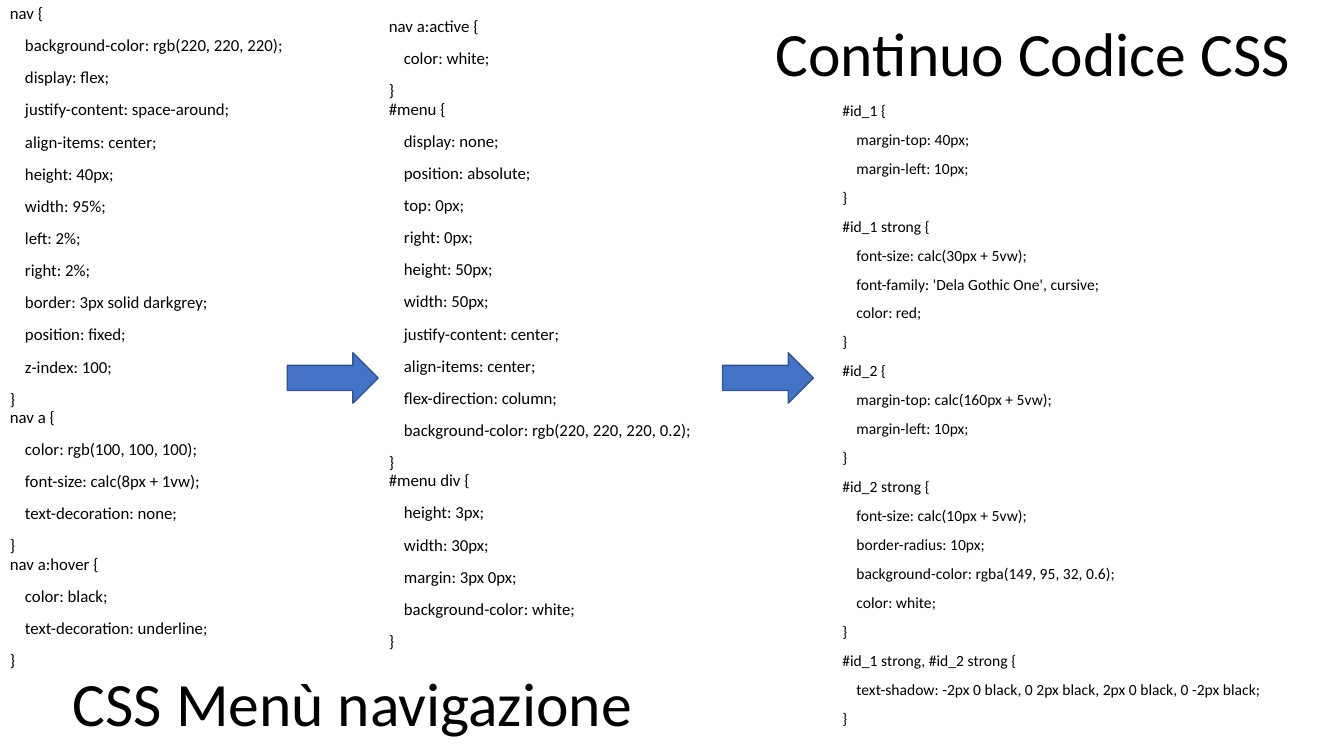
from pptx import Presentation
from pptx.dml.color import RGBColor
from pptx.enum.shapes import MSO_SHAPE
from pptx.enum.text import MSO_ANCHOR, MSO_AUTO_SIZE, PP_ALIGN
from pptx.util import Cm, Pt

RIGHT_ARROW = MSO_SHAPE.RIGHT_ARROW
MIDDLE = MSO_ANCHOR.MIDDLE
NO_AUTOFIT = MSO_AUTO_SIZE.NONE
CENTER = PP_ALIGN.CENTER
TITLE_ONLY = 5

FONT = "Calibri"
BLACK, BLUE, DARK_BLUE = "000000", "4472C4", "325491"

# Indented lines are declarations
NAV_CSS = """nav {
    background-color: rgb(220, 220, 220);
    display: flex;
    justify-content: space-around;
    align-items: center;
    height: 40px;
    width: 95%;
    left: 2%;
    right: 2%;
    border: 3px solid darkgrey;
    position: fixed;
    z-index: 100;
}
nav a {
    color: rgb(100, 100, 100);
    font-size: calc(8px + 1vw);
    text-decoration: none;
}
nav a:hover {
    color: black;
    text-decoration: underline;
}"""

MENU_CSS = """nav a:active {
    color: white;
}
#menu {
    display: none;
    position: absolute;
    top: 0px;
    right: 0px;
    height: 50px;
    width: 50px;
    justify-content: center;
    align-items: center;
    flex-direction: column;
    background-color: rgb(220, 220, 220, 0.2);
}
#menu div {
    height: 3px;
    width: 30px;
    margin: 3px 0px;
    background-color: white;
}"""

ID_CSS = """#id_1 {
    margin-top: 40px;
    margin-left: 10px;
}
#id_1 strong {
    font-size: calc(30px + 5vw);
    font-family: 'Dela Gothic One', cursive;
    color: red;
}
#id_2 {
    margin-top: calc(160px + 5vw);
    margin-left: 10px;
}
#id_2 strong {
    font-size: calc(10px + 5vw);
    border-radius: 10px;
    background-color: rgba(149, 95, 32, 0.6);
    color: white;
}
#id_1 strong, #id_2 strong {
    text-shadow: -2px 0 black, 0 2px black, 2px 0 black, 0 -2px black;
}"""


def rgb(hex_color):
    return RGBColor.from_string(hex_color)


def to_cm(box):
    return [Cm(length) for length in box]


def add_run(paragraph, text, size):
    run = paragraph.add_run()
    run.text = text
    run.font.name = FONT
    run.font.size = Pt(size)
    run.font.color.rgb = rgb(BLACK)


def write_heading(heading, box, text):
    """Place a heading and centre its text in the box."""
    heading.left, heading.top, heading.width, heading.height = to_cm(box)
    frame = heading.text_frame
    frame.word_wrap = True
    frame.auto_size = NO_AUTOFIT
    frame.vertical_anchor = MIDDLE
    line = frame.paragraphs[0]
    line.alignment = CENTER
    line.line_spacing = 0.9
    add_run(line, text, 44)


def add_code_column(slide, box, css, size=12, spacing=0.9, join_rules=True):
    """Write CSS one line a paragraph; joined rules follow "}" after a break."""
    frame = slide.shapes.add_textbox(*to_cm(box)).text_frame
    frame.word_wrap = True
    paragraph = None
    previous = ""
    for line in css.splitlines():
        if join_rules and previous == "}":
            paragraph.add_line_break()
        else:
            paragraph = frame.add_paragraph() if paragraph else frame.paragraphs[0]
            paragraph.line_spacing = spacing
            paragraph.space_before = Pt(10)
            if line.startswith(" "):
                # Indent as wide as four spaces of the font
                indent = Pt(0.9 * size)
                paragraph._p.get_or_add_pPr().set("marL", str(indent))
        add_run(paragraph, line.strip(), size)
        previous = line


def add_flow_arrow(slide, box):
    arrow = slide.shapes.add_shape(RIGHT_ARROW, *to_cm(box))
    arrow.shadow.inherit = False
    arrow.fill.solid()
    arrow.fill.fore_color.rgb = rgb(BLUE)
    arrow.line.color.rgb = rgb(DARK_BLUE)
    arrow.line.width = Pt(1)


def build_css_slide(deck):
    slide = deck.slides.add_slide(deck.slide_layouts[TITLE_ONLY])

    # Title and selectors by id, on the right
    write_heading(slide.shapes.title, (18.21, 0, 15.65, 2.84), "Continuo Codice CSS")
    add_code_column(slide, (20.98, 2.51, 12.57, 16.2), ID_CSS,
                    size=11.1, spacing=0.8, join_rules=False)

    # Navigation and menu rules, on the left
    add_code_column(slide, (0, 0, 8.41, 17.25), NAV_CSS)
    add_code_column(slide, (9.55, 0.33, 9.63, 16.2), MENU_CSS)

    # Arrows between the columns
    for left in (7.24, 18.21):
        add_flow_arrow(slide, (left, 8.89, 2.29, 1.27))

    # Heading below the navigation rules
    menu_box = (0.84, 16.54, 16.1, 2.51)
    menu_heading = slide.shapes.add_textbox(*to_cm(menu_box))
    write_heading(menu_heading, menu_box, "CSS Menù navigazione")


def main():
    deck = Presentation()
    deck.slide_width, deck.slide_height = Cm(33.87), Cm(19.05)
    build_css_slide(deck)
    deck.save("out.pptx")


if __name__ == "__main__":
    main()
